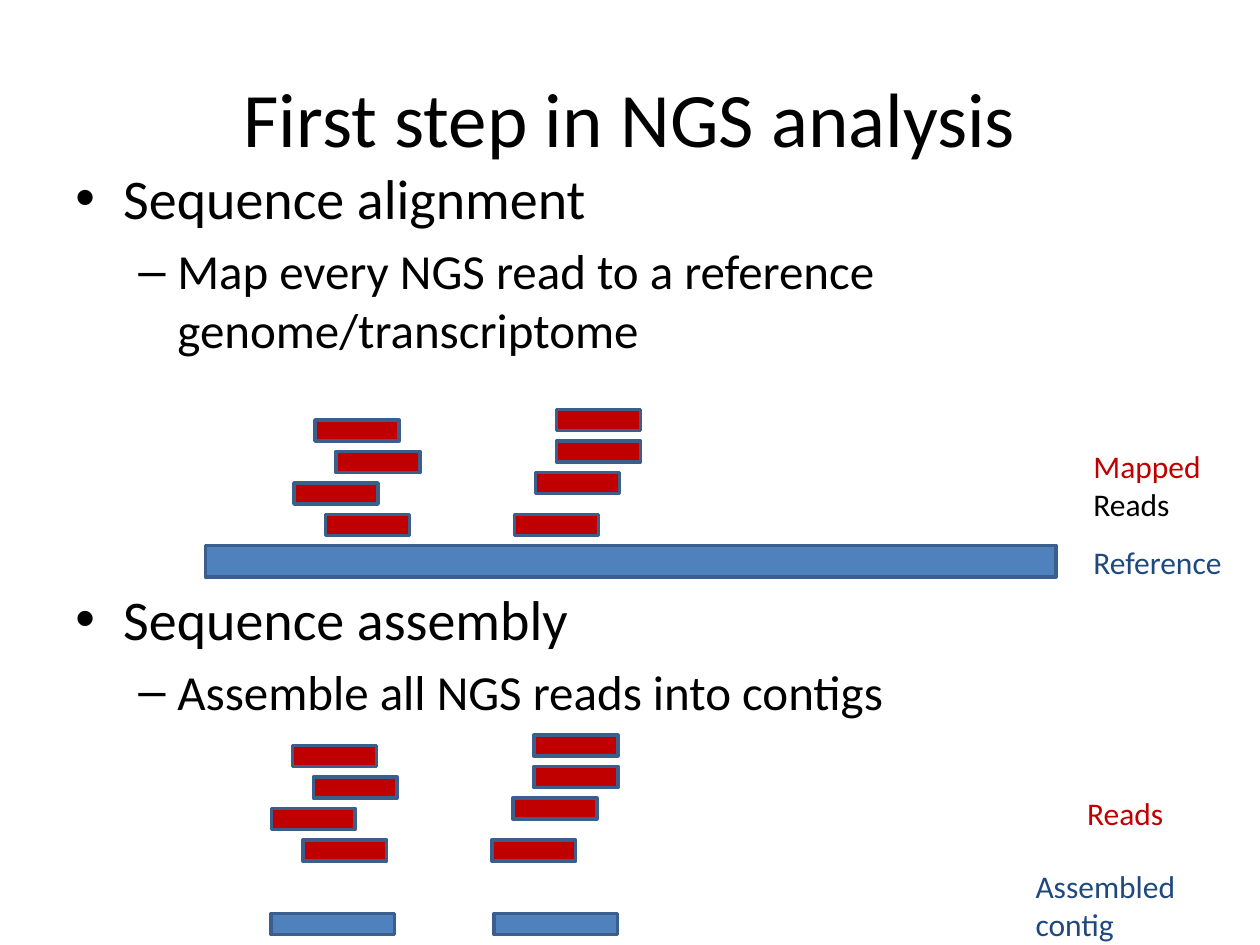
from dataclasses import dataclass

from lxml.etree import SubElement as Sub
from pptx import Presentation
from pptx.dml.color import RGBColor as Rgb
from pptx.enum.shapes import MSO_SHAPE as Shape
from pptx.enum.text import MSO_ANCHOR as Anchor, PP_ALIGN as Align
from pptx.oxml.ns import qn
from pptx.util import Inches, Pt


@dataclass(frozen=True)
class Theme:
    font: str = "Calibri"
    black: str = "000000"
    red: str = "C00000"
    blue: str = "4F81BD"
    navy: str = "1F497D"
    edge: str = "3A5F8C"
    title: int = 44
    head: int = 32
    sub: int = 28
    label: int = 18
    line: int = 2


THEME = Theme()
CELL = 1 / 12  # grid step in inches
READ = (8, 2)  # read size in cells

# Column and row of every read in a pile
PILE = [(30, 40), (32, 43), (28, 46), (31, 49),
        (51, 45), (53, 42), (53, 39), (49, 49)]

# Level, text and space before of each outline line
OUTLINE = [
    (0, "Sequence alignment", 6.4),
    (1, "Map every NGS read to a reference genome/transcriptome", 5.6),
    (0, "Sequence assembly", 129),
    (1, "Assemble all NGS reads into contigs", 5.6),
]
# Bullet, left margin, hanging indent and type size of each level
LEVELS = [("•", 0.38, 0.38, THEME.head), ("–", 0.81, 0.31, THEME.sub)]


def style(run, size, color):
    run.font.name = THEME.font
    run.font.size = Pt(size)
    run.font.color.rgb = Rgb.from_string(color)


def add_box(shapes, left, top, width, height):
    box = shapes.add_textbox(*map(Inches, (left, top, width, height)))
    box.text_frame.word_wrap = True
    return box.text_frame


def add_title(shapes, text):
    frame = add_box(shapes, 0.5, 0.3, 9, 1.25)
    frame.text = text
    frame.vertical_anchor = Anchor.MIDDLE
    line = frame.paragraphs[0]
    line.alignment = Align.CENTER
    style(line.runs[0], THEME.title, THEME.black)


def add_outline(shapes):
    frame = add_box(shapes, 0.5, 1.25, 9, 4.95)
    frame.text = "\n".join(text for _, text, _ in OUTLINE)
    for line, (level, _, gap) in zip(frame.paragraphs, OUTLINE):
        mark, left, hang, size = LEVELS[level]
        line.level = level
        line.space_before = Pt(gap)
        style(line.runs[0], size, THEME.black)
        props = line._p.get_or_add_pPr()
        props.set("marL", str(Inches(left)))
        props.set("indent", str(-Inches(hang)))
        Sub(props, qn("a:buFont")).set("typeface", "Arial")
        Sub(props, qn("a:buChar")).set("char", mark)


def add_label(shapes, left, top, width, height, *parts):
    line = add_box(shapes, left, top, width, height).paragraphs[0]
    for text, color in parts:
        run = line.add_run()
        run.text = text
        style(run, THEME.label, color)


def add_bar(shapes, left, top, width, height, color):
    bar = shapes.add_shape(
        Shape.RECTANGLE, *map(Inches, (left, top, width, height)))
    bar.shadow.inherit = False
    bar.fill.solid()
    bar.fill.fore_color.rgb = Rgb.from_string(color)
    bar.line.color.rgb = Rgb.from_string(THEME.edge)
    bar.line.width = Pt(THEME.line)


def add_pile(shapes, right=0, down=0):
    width, height = (n * CELL for n in READ)
    for col, row in PILE:
        add_bar(shapes, col * CELL + right, row * CELL + down,
                width, height, THEME.red)


def main():
    deck = Presentation()
    deck.slide_width, deck.slide_height = Inches(10), Inches(7.5)
    shapes = deck.slides.add_slide(deck.slide_layouts[6]).shapes

    # Heading and outline
    add_title(shapes, "First step in NGS analysis")
    add_outline(shapes)

    # Alignment: reads mapped on one reference
    group = shapes.add_group_shape().shapes
    add_bar(group, 1.63, 4.33, 6.75, 3 * CELL, THEME.blue)
    add_label(group, 8.58, 4.26, 1.27, 0.4, ("Reference", THEME.navy))
    add_pile(group)
    add_label(group, 8.58, 3.5, 1.27, 0.71,
              ("Mapped", THEME.red), (" Reads", THEME.black))

    # Assembly: the same pile, joined into contigs
    add_pile(shapes, -0.18, 31 * CELL)
    for left in (2.15, 3.92):
        add_bar(shapes, left, 7.25, 0.98, 2 * CELL, THEME.blue)
    add_label(shapes, 8.53, 6.25, 1.27, 0.4, ("Reads", THEME.red))
    add_label(shapes, 8.12, 6.83, 1.88, 0.71, ("Assembled contig", THEME.navy))

    deck.save("out.pptx")


if __name__ == "__main__":
    main()
